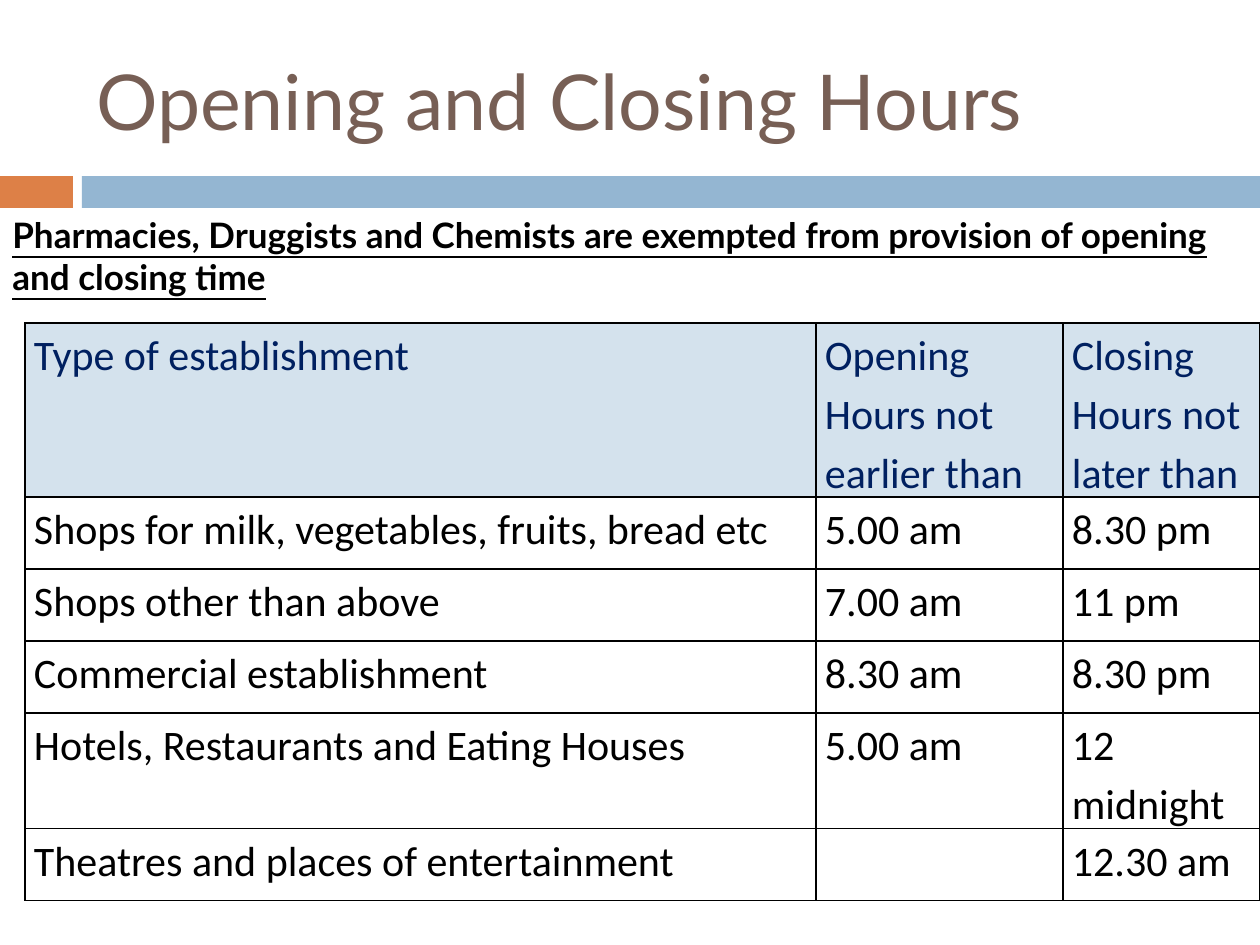
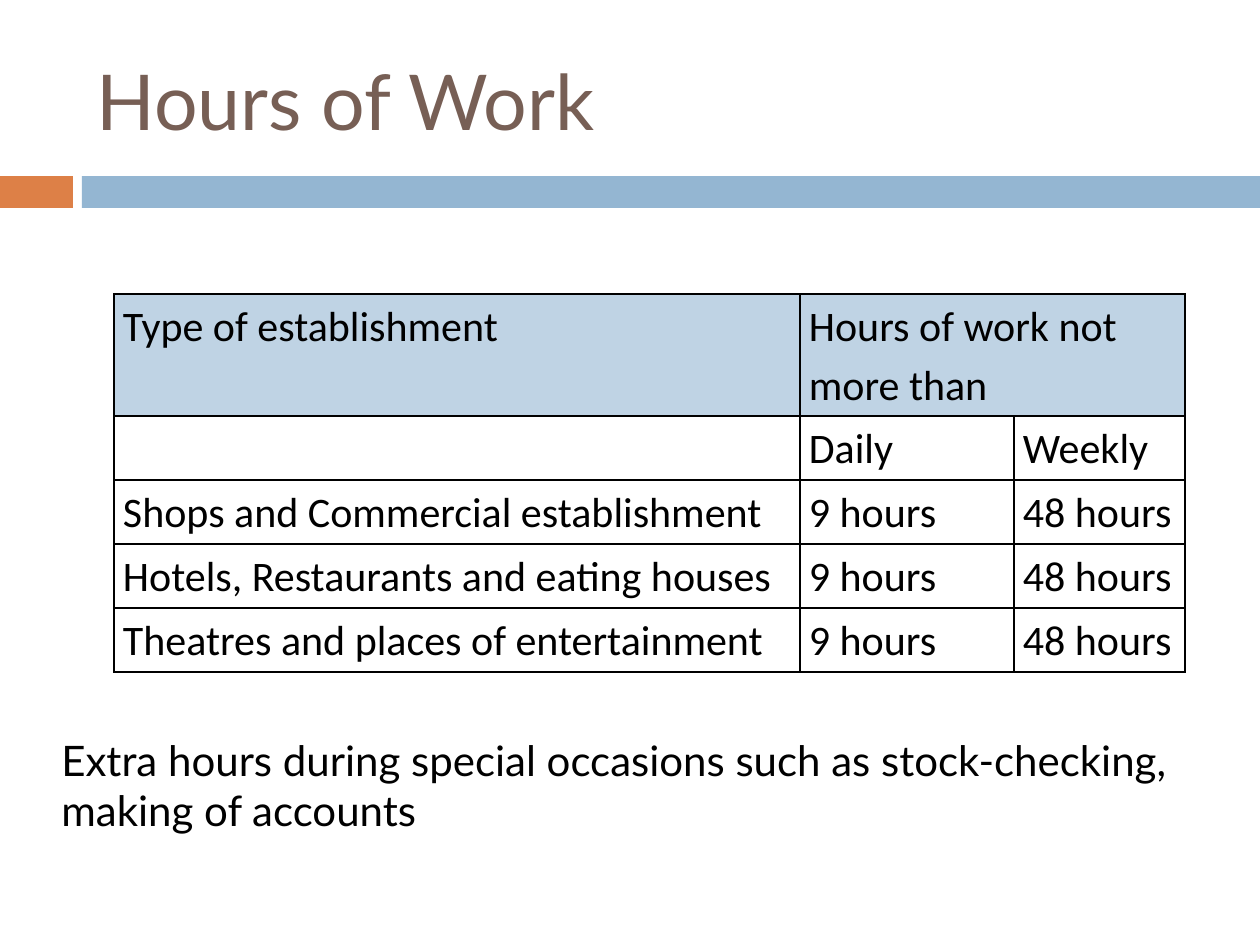
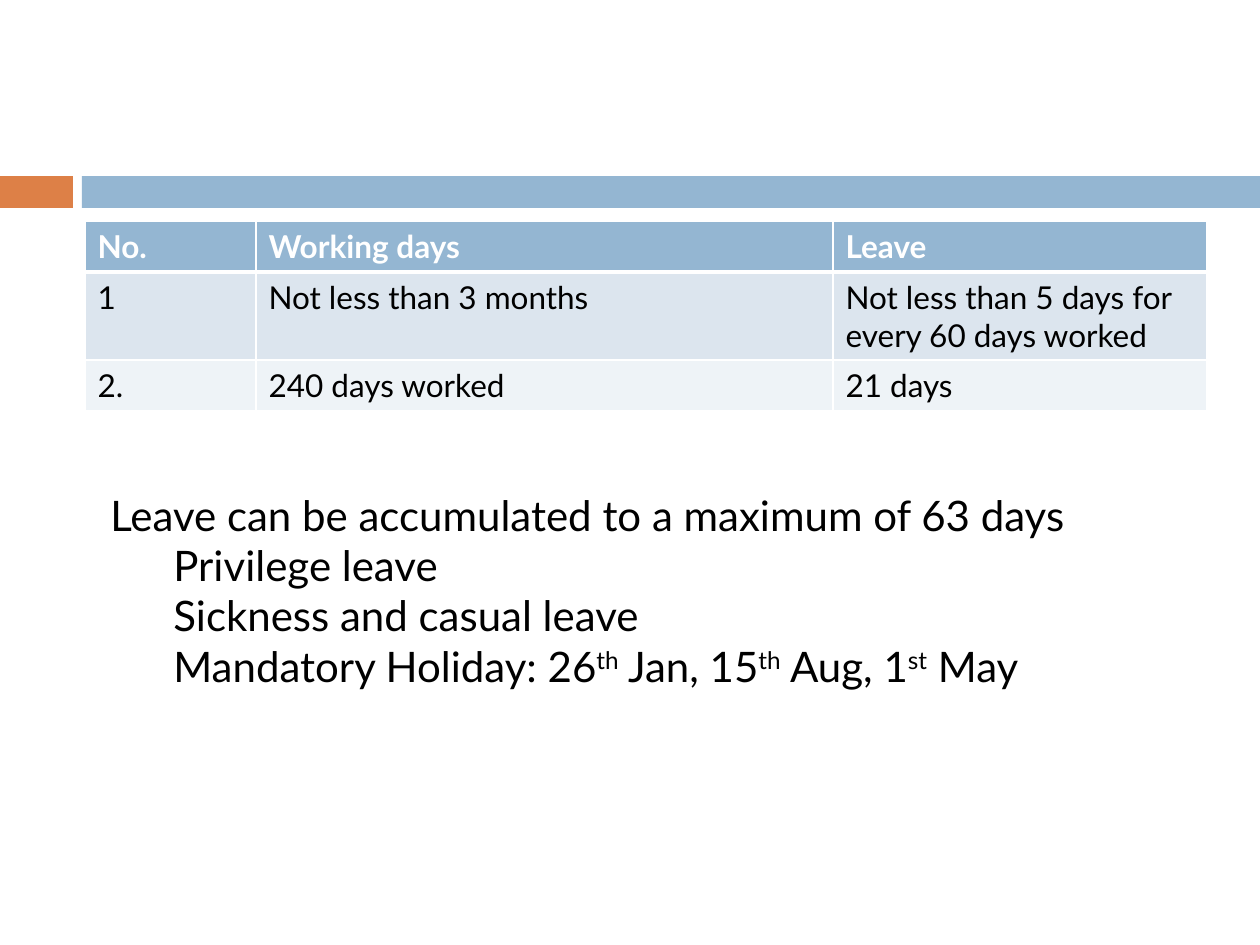
from lxml import etree
from pptx import Presentation
from pptx.dml.color import RGBColor
from pptx.enum.shapes import MSO_SHAPE
from pptx.enum.text import MSO_ANCHOR
from pptx.oxml.ns import qn
from pptx.util import Emu, Pt

RECT = MSO_SHAPE.RECTANGLE
TOP, MIDDLE = MSO_ANCHOR.TOP, MSO_ANCHOR.MIDDLE

SCALE = 914400 / 126
WIDE, HIGH = 1260, 945

BLACK = RGBColor(0, 0, 0)
WHITE = RGBColor(255, 255, 255)
BROWN = RGBColor(0x77, 0x5F, 0x55)
ORANGE = RGBColor(0xDD, 0x80, 0x47)
BLUE = RGBColor(0x94, 0xB6, 0xD2)
NAVY = RGBColor(0x00, 0x20, 0x60)
PALE = RGBColor(0xD4, 0xE2, 0xED)
SKY = RGBColor(0xBF, 0xD3, 0xE4)
MIST = RGBColor(0xDC, 0xE5, 0xEE)
FOG = RGBColor(0xEE, 0xF3, 0xF7)

TITLE = {"name": "Lato", "size": Pt(44), "color": BROWN}
BODY = {"name": "Lato", "size": Pt(24), "color": BLACK}
NOTE = BODY | {"size": Pt(20), "bold": True, "underline": True}
GRID = {"name": "Calibri", "size": Pt(24), "color": BLACK}
LEAVE = BODY | {"size": Pt(18)}


def px(n):
    """Turn pixels into EMU."""
    return Emu(round(n * SCALE))


def write(para, text, style):
    """Write text in a style; parts between ^ marks are raised."""
    for i, part in enumerate(text.split("^")):
        run = para.add_run()
        run.text = part
        for key, value in style.items():
            if key == "color":
                run.font.color.rgb = value
            else:
                setattr(run.font, key, value)
        if i % 2:
            run.font._element.set("baseline", "30000")


def edge(cell, side, color, width):
    """Draw one border of a cell; side is L, R, T or B."""
    line = etree.SubElement(cell._tc.get_or_add_tcPr(), qn("a:ln" + side), w=str(Pt(width)))
    fill = etree.SubElement(line, qn("a:solidFill"))
    etree.SubElement(fill, qn("a:srgbClr"), val=str(color))


class Deck:
    """Holds the shared style and the current slide."""

    def __init__(self):
        """Start an empty deck."""
        self.prs = Presentation()
        self.prs.slide_width, self.prs.slide_height = px(WIDE), px(HIGH)
        self.slide = None

    def start(self, title=None):
        """Add a slide with its two bands and an optional title."""
        self.slide = self.prs.slides.add_slide(self.prs.slide_layouts[6])
        self.band(0, 73, ORANGE)
        self.band(82, WIDE - 82, BLUE)
        if title:
            self.text((84, 32, 1124, 136), [title], TITLE, anchor=MIDDLE)

    def band(self, left, width, color):
        """Draw one part of the band under the title."""
        shape = self.slide.shapes.add_shape(RECT, px(left), px(176), px(width), px(32))
        shape.shadow.inherit = False
        shape.fill.solid()
        shape.fill.fore_color.rgb = color
        shape.line.fill.background()

    def text(self, box, lines, style, anchor=TOP, indent=0):
        """Add a text box; lines after the first are indented."""
        frame = self.slide.shapes.add_textbox(*map(px, box)).text_frame
        frame.word_wrap = True
        frame.vertical_anchor = anchor
        for i, line in enumerate(lines):
            para = frame.add_paragraph() if i else frame.paragraphs[0]
            if i and indent:
                para.level = 1
                props = para._p.get_or_add_pPr()
                props.set("marL", str(px(indent)))
                props.set("indent", "0")
            write(para, line, style)

    def table(self, spot, cols, rows, data, style, head, fills, *,
              line=BLACK, rule=1, pad=None, space=None, merge=None):
        """Add a table; head adds to the first row's style, fills go by row."""
        box = (*spot, sum(cols), sum(rows))
        grid = self.slide.shapes.add_table(len(rows), len(cols), *map(px, box)).table
        grid.first_row = grid.horz_banding = False
        for col, width in zip(grid.columns, cols):
            col.width = px(width)
        for row, height in zip(grid.rows, rows):
            row.height = px(height)
        if merge:
            first, last = merge
            grid.cell(*first).merge(grid.cell(*last))
        for r, words in enumerate(data):
            for c, word in enumerate(words):
                cell = grid.cell(r, c)
                if pad is not None:
                    cell.margin_left = cell.margin_right = px(pad)
                    cell.margin_top = cell.margin_bottom = 0
                for side in "LRTB":
                    thick = (r, side) in ((0, "B"), (1, "T"))
                    edge(cell, side, line, rule if thick else 1)
                if fills[r]:
                    cell.fill.solid()
                    cell.fill.fore_color.rgb = fills[r]
                else:
                    cell.fill.background()
                if word:
                    para = cell.text_frame.paragraphs[0]
                    para.line_spacing = space
                    write(para, word, style if r else style | head)


def main():
    """Build the three slides."""
    deck = Deck()
    ruled = {"pad": 9, "space": 1.15}

    deck.start("Opening and Closing Hours")
    hours = [
        ("Type of establishment", "Opening Hours not earlier than",
         "Closing Hours not later than"),
        ("Shops for milk, vegetables, fruits, bread etc", "5.00 am", "8.30 pm"),
        ("Shops other than above", "7.00 am", "11 pm"),
        ("Commercial establishment", "8.30 am", "8.30 pm"),
        ("Hotels, Restaurants and Eating Houses", "5.00 am", "12 midnight"),
        ("Theatres and places of entertainment", "", "12.30 am"),
    ]
    deck.table((25, 323), (791, 247, 197), [145] + [72] * 5, hours, GRID,
               {"color": NAVY}, [PALE] + [None] * 5, **ruled)
    deck.text((0, 207, WIDE, 97),
              ["Pharmacies, Druggists and Chemists are exempted from provision "
               "of opening and closing time"], NOTE)

    deck.start("Hours of Work")
    limit = ("9 hours", "48 hours")
    work = [
        ("Type of establishment", "Hours of work not more than", ""),
        ("", "Daily", "Weekly"),
        ("Shops and Commercial establishment", *limit),
        ("Hotels, Restaurants and eating houses", *limit),
        ("Theatres and places of entertainment", *limit),
    ]
    deck.table((114, 294), (686, 214, 171), [122] + [64] * 4, work, GRID,
               {}, [SKY] + [None] * 4, merge=((0, 1), (0, 2)), **ruled)
    deck.text((49, 728, 1211, 115),
              ["Extra hours during special occasions such as stock-checking, "
               "making of accounts"], BODY)

    deck.start()
    leave = [
        ("No.", "Working days", "Leave"),
        ("1", "Not less than 3 months", "Not less than 5 days for every 60 days worked"),
        ("2.", "240 days worked", "21 days"),
    ]
    deck.table((85, 221), (171, 577, 374), [51] * 3, leave, LEAVE,
               {"color": WHITE, "bold": True}, (BLUE, MIST, FOG), line=WHITE, rule=3)
    deck.text((98, 483, 994, 318),
              ["Leave can be accumulated to a maximum of 63 days",
               "Privilege leave", "Sickness and casual leave",
               "Mandatory Holiday: 26^th^ Jan, 15^th^ Aug, 1^st^ May"],
              BODY, indent=63)

    deck.prs.save("out.pptx")


main()
